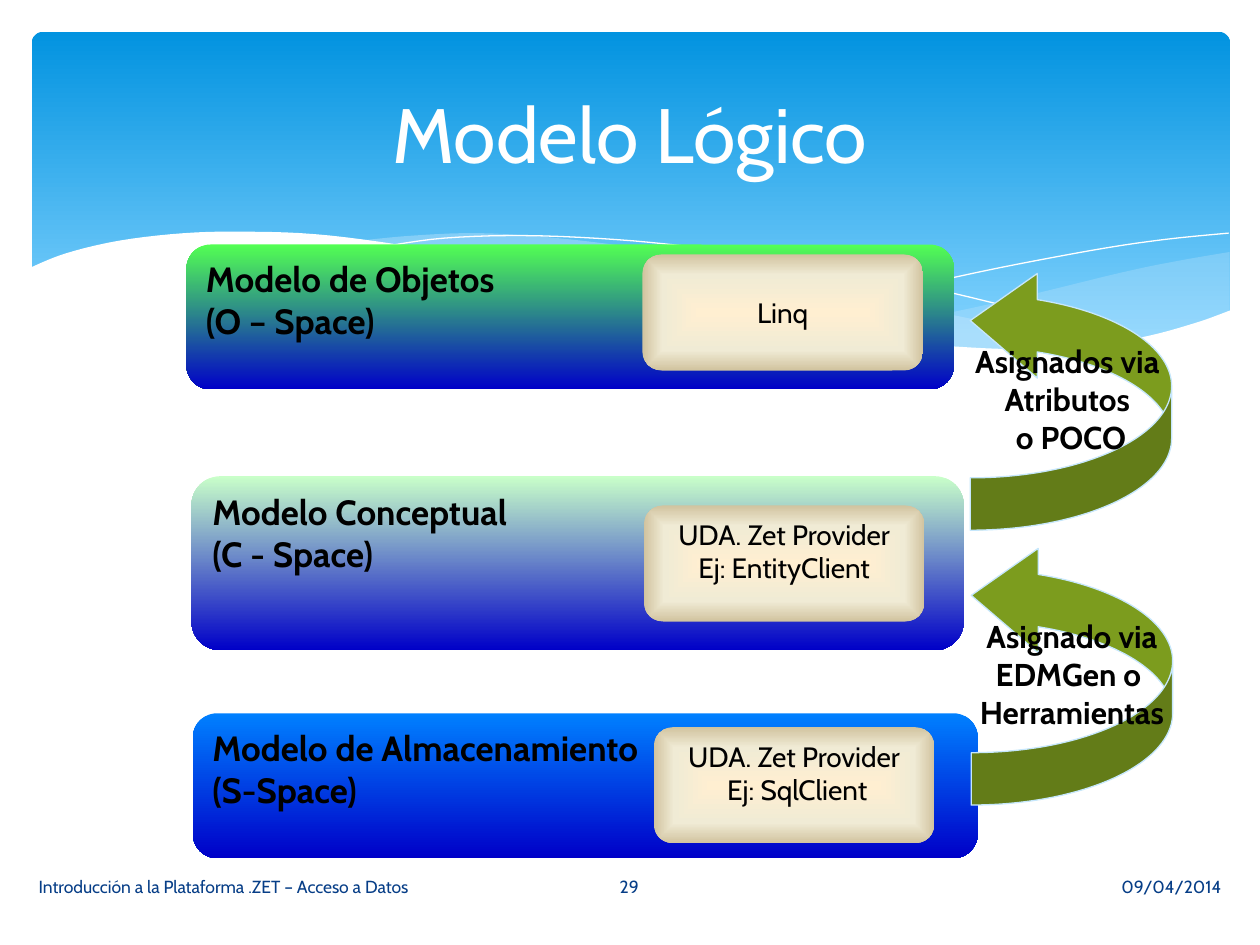
from dataclasses import dataclass
from typing import NamedTuple

from lxml import etree
from pptx import Presentation
from pptx import util as u
from pptx.dml.color import RGBColor
from pptx.enum import shapes, text
from pptx.oxml.ns import qn


@dataclass(frozen=True)
class Theme:
    font: str = "Cabin"
    title_size: int = 44
    card_size: int = 20
    arrow_size: int = 18
    provider_size: int = 16
    footer_size: int = 10
    ink: str = "000000"
    white: str = "FFFFFF"
    footer: str = "073E87"
    pale: str = "C6E7FC"
    arrow: str = "7C9C1E"
    deep_blue: str = "0000C8"
    sky: tuple = ((0, "0293E0"), (90, "83D3FE"))
    cream: tuple = ((0, "FFEFD1"), (65, "F0EBD5"), (100, "D1C39F"))


class Box(NamedTuple):
    left: float
    top: float
    width: float
    height: float

    def lengths(self) -> list:
        return [u.Cm(value) for value in self]


class Layer(NamedTuple):
    name: tuple
    box: Box
    top_color: str
    provider: tuple
    provider_at: tuple
    provider_anchor: text.MSO_ANCHOR


class Mapping(NamedTuple):
    lines: tuple
    at: tuple


class Footer(NamedTuple):
    line: str
    box: Box
    align: text.PP_ALIGN


THEME = Theme()
LEFT, CENTER, RIGHT = text.PP_ALIGN.LEFT, text.PP_ALIGN.CENTER, text.PP_ALIGN.RIGHT
TOP, MIDDLE = text.MSO_ANCHOR.TOP, text.MSO_ANCHOR.MIDDLE
PROVIDER_SIZE = (5.66, 2.34)
ARROW_SIZE = (4.06, 5.28)

LAYERS = [
    Layer(("Modelo de Almacenamiento", "(S-Space)"), Box(3.89, 14.38, 15.82, 2.92), "0080FF",
          ("UDA. Zet Provider", " Ej: SqlClient"), (13.18, 14.66), TOP),
    Layer(("Modelo Conceptual", "(C - Space)"), Box(3.86, 9.6, 15.57, 3.51), "C9FFC9",
          ("UDA. Zet Provider", "Ej: EntityClient"), (12.98, 10.19), TOP),
    Layer(("Modelo de Objetos", "(O – Space)"), Box(3.76, 4.93, 15.47, 2.92), "53FF53",
          ("Linq",), (12.95, 5.13), MIDDLE),
]
MAPPINGS = [
    Mapping(("Asignado via", "EDMGen o ", "Herramientas"), (19.58, 10.95)),
    Mapping(("Asignados via ", "Atributos ", "o POCO"), (19.56, 5.41)),
]
FOOTERS = [
    Footer("09/04/2014", Box(14.35, 17.37, 10.52, 1.02), RIGHT),
    Footer("Introducción a la Plataforma .ZET – Acceso a Datos", Box(0.53, 17.37, 10.52, 1.02), LEFT),
    Footer("29", Box(11.07, 17.37, 3.23, 1.02), CENTER),
]

RIGHT_WAVE = [
    [(16.79, 6.73), (18.52, 6.43), (20.45, 6.02), (22.63, 5.49), (23.75, 5.26), (24.79, 5.08)],
    [(24.79, 6.27), (23.93, 6.58), (22.99, 6.83), (21.92, 6.98), (20.68, 7.06), (19.23, 7.01),
     (17.91, 6.88), (16.79, 6.73)],
]
MIDDLE_WAVE = [
    [(7.26, 4.85), (8.33, 4.75), (9.65, 4.7), (11.23, 4.8), (13.06, 5.03), (14.83, 5.36),
     (16.97, 5.87), (18.82, 6.27), (20.5, 6.6), (22.68, 6.93)],
    [(22.68, 6.93), (21.54, 7.04), (20.22, 7.06), (18.69, 6.99), (16.89, 6.76), (14.83, 6.4),
     (12.47, 5.89), (10.26, 5.36), (8.69, 5.05), (7.26, 4.85)],
]
LONG_THREAD = [(7.85, 4.95), (8.97, 4.8), (10.57, 4.75), (12.42, 4.83), (14.12, 5), (16.15, 5.28),
               (18.47, 5.74), (21.11, 6.38), (23.04, 6.91)]
SHORT_THREAD = [(15.57, 6.53), (17.65, 5.97), (19.71, 5.49), (22, 5.05), (23.47, 4.83), (24.77, 4.7)]
WHITE_WAVE = [
    [(0.58, 5.41), (1.32, 5.11), (2.41, 4.85), (3.71, 4.7), (4.9, 4.67), (6.35, 4.72), (8.03, 4.93),
     (9.93, 5.26), (12.07, 5.77), (14.1, 6.22), (15.9, 6.55), (17.48, 6.81), (18.9, 6.96),
     (20.55, 7.04), (21.92, 6.96), (23.11, 6.78), (24.13, 6.5), (24.82, 6.25)],
    [(24.82, 8.36), (0.58, 8.36)],
]


def write_text(frame, lines: tuple, *, size: int, color: str = THEME.ink, bold: bool = False,
               align=LEFT, anchor=TOP, wrap: bool = True) -> None:
    frame.word_wrap = wrap
    frame.vertical_anchor = anchor
    for index, line in enumerate(lines):
        para = frame.paragraphs[0] if index == 0 else frame.add_paragraph()
        para.alignment = align
        span = para.add_run()
        span.text = line
        span.font.name = THEME.font
        span.font.size = u.Pt(size)
        span.font.bold = bold
        span.font.color.rgb = RGBColor.from_string(color)


def paint_gradient(shape, stops: tuple, *, centered: bool = False) -> None:
    shape.fill.gradient()
    gradient = shape._element.spPr.find(qn("a:gradFill"))
    for child in list(gradient):
        gradient.remove(child)
    stop_list = etree.SubElement(gradient, qn("a:gsLst"))
    for position, color in stops:
        stop = etree.SubElement(stop_list, qn("a:gs"), pos=str(position * 1000))
        etree.SubElement(stop, qn("a:srgbClr"), val=color)
    if centered:
        focus = etree.SubElement(gradient, qn("a:path"), {"path": "shape"})
        etree.SubElement(focus, qn("a:fillToRect"), dict.fromkeys("ltrb", "50000"))
    else:
        etree.SubElement(gradient, qn("a:lin"), ang="5400000", scaled="0")


def paint_solid(shape, color: str, opacity: int = 100) -> None:
    shape.fill.solid()
    shape.fill.fore_color.rgb = RGBColor.from_string(color)
    if opacity < 100:
        tint = shape._element.spPr.find(qn("a:solidFill"))[0]
        etree.SubElement(tint, qn("a:alpha"), val=str(opacity * 1000))


def add_round_box(page, box: Box, stops: tuple, *, corner: float = 0.167, centered: bool = False):
    shape = page.shapes.add_shape(shapes.MSO_SHAPE.ROUNDED_RECTANGLE, *box.lengths())
    shape.adjustments[0] = corner
    shape.shadow.inherit = False
    shape.line.fill.background()
    paint_gradient(shape, stops, centered=centered)
    return shape


def smooth_curve(knots: list, steps: int = 5) -> list:
    if len(knots) < 3:
        return knots
    padded = [knots[0], *knots, knots[-1]]
    points = [knots[0]]
    for before, start, end, after in zip(padded, padded[1:], padded[2:], padded[3:]):
        for step in range(1, steps + 1):
            t = step / steps
            points.append(tuple(
                (2 * b + (c - a) * t + (2 * a - 5 * b + 4 * c - d) * t ** 2
                 + (3 * b - a - 3 * c + d) * t ** 3) / 2
                for a, b, c, d in zip(before, start, end, after)))
    return points


def add_curve(page, edges: list, *, closed: bool):
    points = [(u.Cm(x), u.Cm(y)) for edge in edges for x, y in smooth_curve(edge)]
    builder = page.shapes.build_freeform(*points[0])
    builder.add_line_segments(points[1:], close=closed)
    shape = builder.convert_to_shape()
    shape.shadow.inherit = False
    return shape


def add_wave(page, edges: list, color: str, opacity: int = 100) -> None:
    wave = add_curve(page, edges, closed=True)
    wave.line.fill.background()
    paint_solid(wave, color, opacity)


def add_thread(page, knots: list) -> None:
    thread = add_curve(page, [knots], closed=False)
    thread.fill.background()
    thread.line.color.rgb = RGBColor.from_string(THEME.white)
    thread.line.width = u.Pt(0)


def add_mapping(page, mapping: Mapping) -> None:
    arrow = page.shapes.add_shape(shapes.MSO_SHAPE.CURVED_LEFT_ARROW,
                                  *Box(*mapping.at, *ARROW_SIZE).lengths())
    for index, value in enumerate((0.26, 0.519, 0.333)):
        arrow.adjustments[index] = value
    arrow.shadow.inherit = False
    paint_solid(arrow, THEME.arrow)
    arrow.line.color.rgb = RGBColor.from_string(THEME.pale)
    arrow.line.width = u.Pt(0.75)
    arrow._element.spPr.find(qn("a:xfrm")).set("flipV", "1")
    write_text(arrow.text_frame, mapping.lines, size=THEME.arrow_size, bold=True,
               align=CENTER, anchor=MIDDLE, wrap=False)
    arrow._element.txBody.find(qn("a:bodyPr")).set("rot", "10800000")


def add_label(page, line: str, box: Box, **style) -> None:
    label = page.shapes.add_textbox(*box.lengths())
    write_text(label.text_frame, (line,), anchor=MIDDLE, **style)


def main() -> None:
    deck = Presentation()
    deck.slide_width, deck.slide_height = u.Cm(25.4), u.Cm(19.05)
    page = deck.slides.add_slide(deck.slide_layouts[6])

    add_round_box(page, Box(0.64, 0.64, 24.16, 6.86), THEME.sky, corner=0.034)
    add_wave(page, RIGHT_WAVE, THEME.pale, 29)
    add_wave(page, MIDDLE_WAVE, THEME.pale, 40)
    add_thread(page, LONG_THREAD)
    add_thread(page, SHORT_THREAD)
    add_wave(page, WHITE_WAVE, THEME.white)
    add_label(page, "Modelo Lógico", Box(1.27, 0.94, 22.86, 3.48),
              size=THEME.title_size, color=THEME.white, align=CENTER)

    for layer in LAYERS:
        card = add_round_box(page, layer.box, ((0, layer.top_color), (100, THEME.deep_blue)))
        write_text(card.text_frame, layer.name, size=THEME.card_size, bold=True)
    for layer in LAYERS:
        provider = add_round_box(page, Box(*layer.provider_at, *PROVIDER_SIZE), THEME.cream, centered=True)
        write_text(provider.text_frame, layer.provider, size=THEME.provider_size,
                   align=CENTER, anchor=layer.provider_anchor)
    for mapping in MAPPINGS:
        add_mapping(page, mapping)
    for footer in FOOTERS:
        add_label(page, footer.line, footer.box, size=THEME.footer_size,
                  color=THEME.footer, align=footer.align)

    deck.save("out.pptx")


if __name__ == "__main__":
    main()
